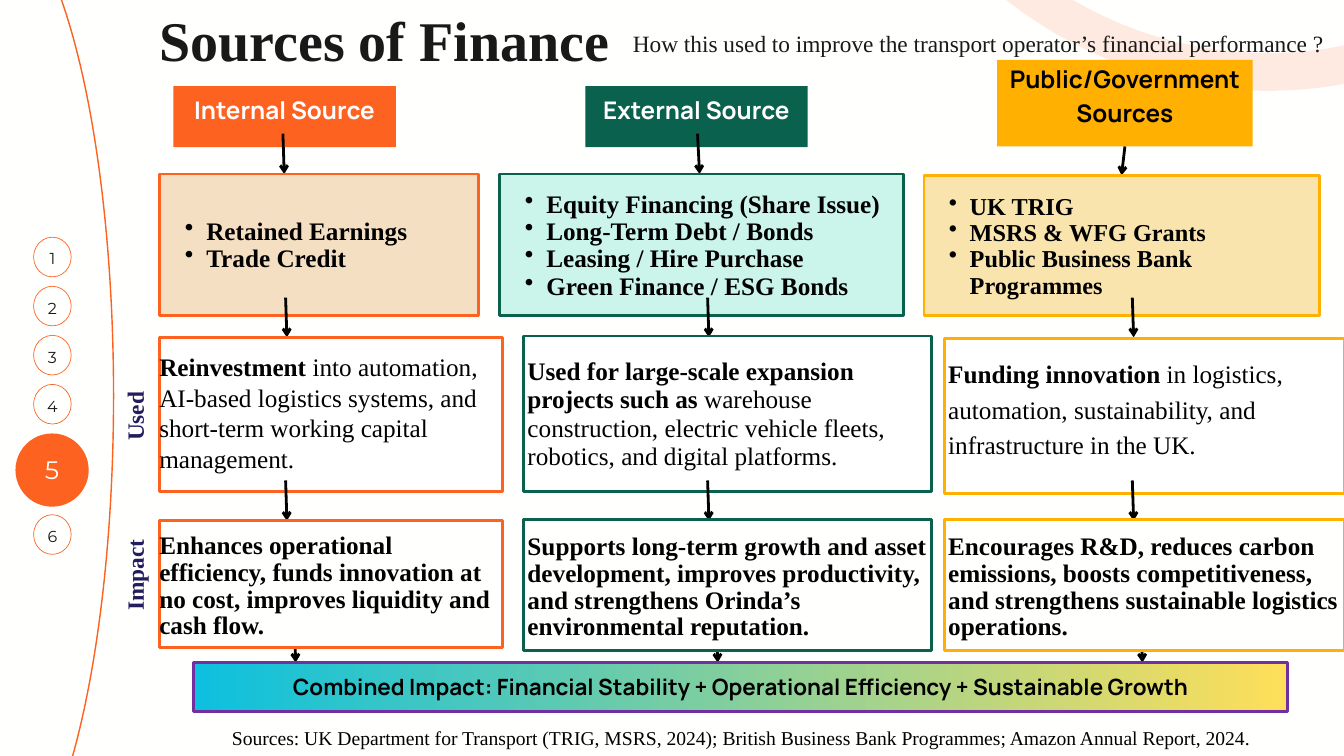
import pptx
import pptx.util
import pptx.dml.color
import pptx.enum.shapes
import pptx.enum.text
import pptx.oxml.ns
import lxml.etree

Inches = pptx.util.Inches
Pt = pptx.util.Pt
RGB = pptx.dml.color.RGBColor
SHAPE = pptx.enum.shapes.MSO_SHAPE
ALIGN = pptx.enum.text.PP_ALIGN
ANCHOR = pptx.enum.text.MSO_ANCHOR
qn = pptx.oxml.ns.qn
Node = lxml.etree.SubElement

ORANGE = RGB(0xFD, 0x62, 0x20)
GREEN = RGB(0x0A, 0x61, 0x4E)
AMBER = RGB(0xFF, 0xB0, 0x01)
PEACH = RGB(0xF5, 0xDF, 0xC2)
MINT = RGB(0xCB, 0xF5, 0xEB)
CREAM = RGB(0xF9, 0xE4, 0xAE)
PURPLE = RGB(0x70, 0x30, 0xA0)
NAVY = RGB(0x23, 0x1C, 0x5E)
CYAN = RGB(0x0C, 0xC0, 0xDF)
YELLOW = RGB(0xFF, 0xDE, 0x59)
BLACK = RGB(0, 0, 0)
INK = RGB(0x19, 0x19, 0x19)
WHITE = RGB(0xFF, 0xFF, 0xFF)
PAPER = RGB(0xFF, 0xFF, 0xFE)
SERIF, SANS, ROUND = "Times New Roman", "Manrope", "Montserrat"


def write(shape, text, lead="", size=27, font=SERIF, color=BLACK, bold=False, align=ALIGN.LEFT,
          space=28.6, anchor=ANCHOR.MIDDLE, side=0, shift=0, dent=0):
    frame = shape.text_frame
    frame.word_wrap = True
    frame.auto_size = pptx.enum.text.MSO_AUTO_SIZE.NONE
    frame.vertical_anchor = anchor
    frame.margin_left = frame.margin_right = Inches(side)
    frame.margin_top = Inches(max(shift, 0))
    frame.margin_bottom = Inches(max(-shift, 0))
    for at, line in enumerate(text.split("\n")):
        para = frame.add_paragraph() if at else frame.paragraphs[0]
        para.alignment = align
        para.line_spacing = Pt(space)
        if dent:
            props = para._p.get_or_add_pPr()
            props.set("marL", str(Inches(2 * dent)))
            props.set("indent", str(-Inches(dent)))
            Node(props, qn("a:buChar")).set("char", "•")
        for words, heavy in ((lead, True), (line, bold)):
            if words:
                run = para.add_run()
                run.text = words
                run.font.name = font
                run.font.size = Pt(size)
                run.font.bold = heavy
                run.font.color.rgb = color


def draw(kind, left, top, width, height, fill=None, line=None, weight=3):
    shape = slide.shapes.add_shape(kind, Inches(left), Inches(top), Inches(width), Inches(height))
    shape.shadow.inherit = False
    if fill is None:
        shape.fill.background()
    else:
        shape.fill.solid()
        shape.fill.fore_color.rgb = fill
    if line is None:
        shape.line.fill.background()
    else:
        shape.line.color.rgb = line
        shape.line.width = Pt(weight)
    return shape


deck = pptx.Presentation()
deck.slide_width = Inches(20)
deck.slide_height = Inches(11.25)
slide = deck.slides.add_slide(deck.slide_layouts[5])
slide.background.fill.solid()
slide.background.fill.fore_color.rgb = PAPER

draw(SHAPE.OVAL, -2.14, -1.44, 3.83, 14.66, line=ORANGE, weight=1.5)
ring = draw(SHAPE.OVAL, 12.86, -10.95, 12.02, 12.02, line=ORANGE, weight=40.5)
tint = ring.line._ln.find(".//" + qn("a:srgbClr"))
Node(tint, qn("a:alpha")).set("val", "12000")

for page in range(1, 7):
    if page == 5:
        dot = draw(SHAPE.OVAL, 0.23, 6.45, 1.09, 1.09, fill=ORANGE)
        write(dot, "5", size=27, font=ROUND, color=PAPER, align=ALIGN.CENTER, space=37.8, shift=-0.08)
    else:
        top = 7.66 if page == 6 else 3.53 + 0.73 * (page - 1)
        dot = draw(SHAPE.OVAL, 0.5, top, 0.56, 0.59, fill=PAPER, line=ORANGE, weight=0.75)
        write(dot, str(page), size=17, font=ROUND, color=INK, align=ALIGN.CENTER, space=23.8)

title = slide.shapes.title
title.left, title.top, title.width, title.height = Inches(2.37), Inches(-0.09), Inches(15.42), Inches(1.26)
write(title, "Sources of Finance", size=60, color=INK, bold=True, space=84, anchor=ANCHOR.TOP)

heads = [
    ("Internal Source", 2.58, 1.28, 3.31, 0.91, ORANGE, WHITE),
    ("External Source", 8.71, 1.28, 3.31, 0.91, GREEN, WHITE),
    ("Public/Government Sources", 14.84, 0.89, 3.8, 1.29, AMBER, BLACK),
]
for text, left, top, width, height, fill, color in heads:
    head = draw(SHAPE.RECTANGLE, left, top, width, height, fill=fill)
    write(head, text, size=26, font=SANS, color=color, bold=True, align=ALIGN.CENTER,
          space=36.4, side=0.06, shift=-0.28)

lists = dict(bold=True, side=0.06, shift=0.03, space=29.4, dent=0.32)
gains = dict(bold=True, shift=0.08, side=0.06)
rows = [
    ([(4.21, 1.99, 0.02, 0.6), (10.38, 1.99, 0.03, 0.6), (16.74, 2.18, -0.05, 0.43)], [
        (2.37, 2.59, 4.75, 2.1, PEACH, "Retained Earnings\nTrade Credit", lists),
        (7.43, 2.59, 6.01, 2.1, MINT,
         "Equity Financing (Share Issue)\nLong-Term Debt / Bonds\n"
         "Leasing / Hire Purchase\nGreen Finance / ESG Bonds", lists),
        (13.75, 2.61, 5.89, 2.08, CREAM,
         "UK TRIG\nMSRS & WFG Grants\nPublic Business Bank Programmes",
         dict(lists, size=26, space=28.3, dent=0.31)),
    ]),
    ([(left, 4.43, 0.02, 0.59) for left in (4.25, 10.53, 16.85)], [
        (2.37, 5.02, 5.11, 2.3, WHITE,
         "into automation, AI-based logistics systems, and short-term working capital management.",
         dict(lead="Reinvestment ", space=32.7, shift=-0.07)),
        (7.79, 5, 6.07, 2.32, WHITE,
         "warehouse construction, electric vehicle fleets, robotics, and digital platforms.",
         dict(lead="Used for large-scale expansion projects such as ", space=30.5, side=0.06)),
        (14.05, 5.04, 5.95, 2.3, WHITE,
         "in logistics, automation, sustainability, and infrastructure in the UK.",
         dict(lead="Funding innovation ", space=37.8, side=0.06, shift=-0.28)),
    ]),
    ([(left + push, top, 0.02, 0.6) for top, push in ((7.15, 0), (9.26, 0.13))
      for left in (4.25, 10.53, 16.85)], [
        (2.37, 7.75, 5.11, 1.88, PAPER,
         "Enhances operational efficiency, funds innovation at no cost, "
         "improves liquidity and cash flow.", dict(gains, side=0)),
        (7.79, 7.73, 6.07, 1.95, PAPER,
         "Supports long-term growth and asset development, improves productivity, "
         "and strengthens Orinda’s environmental reputation.", gains),
        (14.05, 7.73, 5.95, 1.95, PAPER,
         "Encourages R&D, reduces carbon emissions, boosts competitiveness, "
         "and strengthens sustainable logistics operations.", gains),
    ]),
]
for arrows, cards in rows:
    for left, top, run, drop in arrows:
        arrow = slide.shapes.add_connector(
            pptx.enum.shapes.MSO_CONNECTOR.STRAIGHT,
            Inches(left), Inches(top), Inches(left + run), Inches(top + drop))
        arrow.line.color.rgb = BLACK
        arrow.line.width = Pt(3)
        Node(arrow.line._ln, qn("a:tailEnd")).set("type", "arrow")
        Node(arrow._element.spPr, qn("a:effectLst"))
    for (left, top, width, height, fill, text, style), edge in zip(cards, (ORANGE, GREEN, AMBER)):
        card = draw(SHAPE.RECTANGLE, left, top, width, height, fill=fill, line=edge)
        write(card, text, **style)

bar = draw(SHAPE.RECTANGLE, 2.88, 9.86, 16.28, 0.73, line=PURPLE)
bar.fill.gradient()
bar.fill.gradient_angle = 0
for stop, color, place in zip(bar.fill.gradient_stops, (CYAN, YELLOW), (0, 1)):
    stop.color.rgb = color
    stop.position = place
write(bar, "Combined Impact: Financial Stability + Operational Efficiency + Sustainable Growth",
      size=24, font=SANS, bold=True, align=ALIGN.CENTER, space=25.4, shift=0.04)

side = dict(size=25, color=NAVY, bold=True, space=35)
notes = [
    ("How this used to improve the transport operator’s financial performance ?",
     9.06, 0.36, 10.99, 0.51, 0, dict(size=25, color=INK, space=35)),
    ("Used", 0.25, 5.96, 3.42, 0.47, 270, side),
    ("Impact", 0.25, 8.32, 3.42, 0.47, 270, side),
    ("Sources: UK Department for Transport (TRIG, MSRS, 2024); British Business Bank Programmes; "
     "Amazon Annual Report, 2024.", 2.99, 10.74, 16.08, 0.44, 0, dict(size=21, space=29.4)),
]
for text, left, top, width, height, turn, style in notes:
    note = slide.shapes.add_textbox(Inches(left), Inches(top), Inches(width), Inches(height))
    note.rotation = turn
    write(note, text, align=ALIGN.CENTER, anchor=ANCHOR.TOP, **style)

deck.save("out.pptx")
